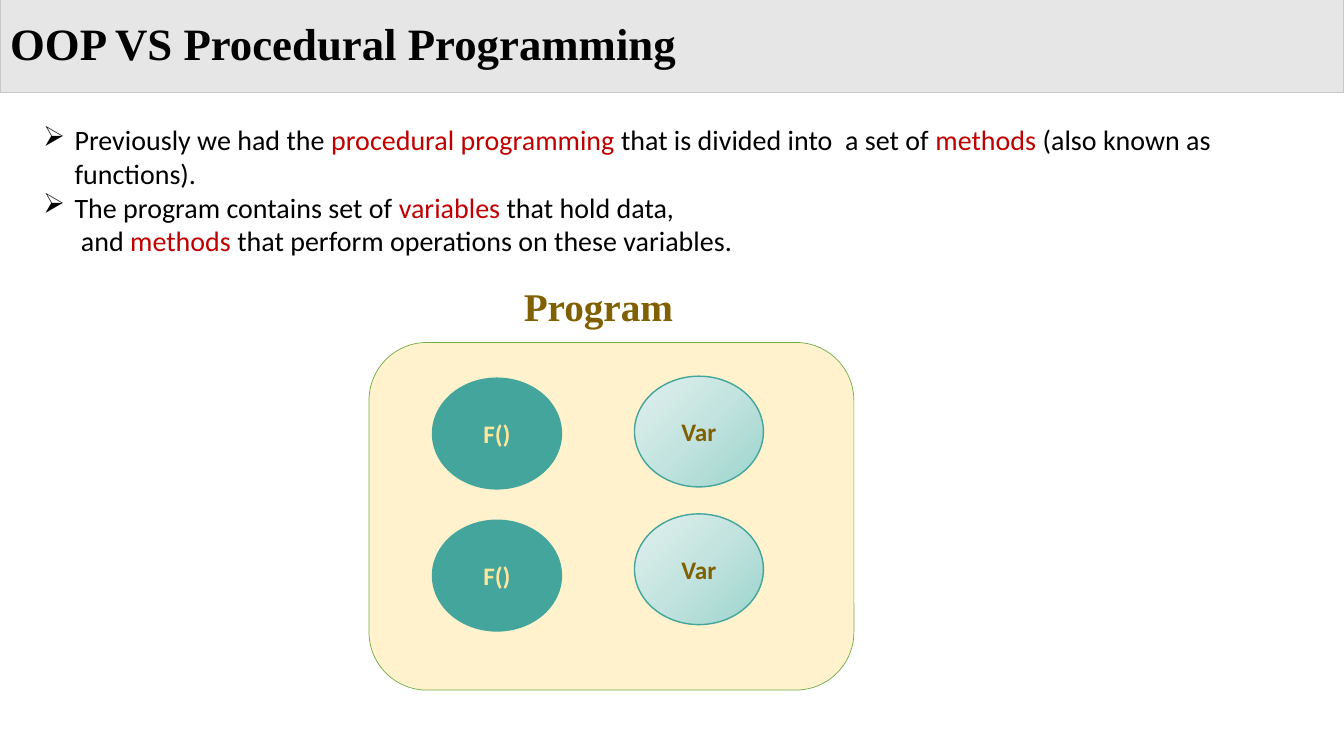
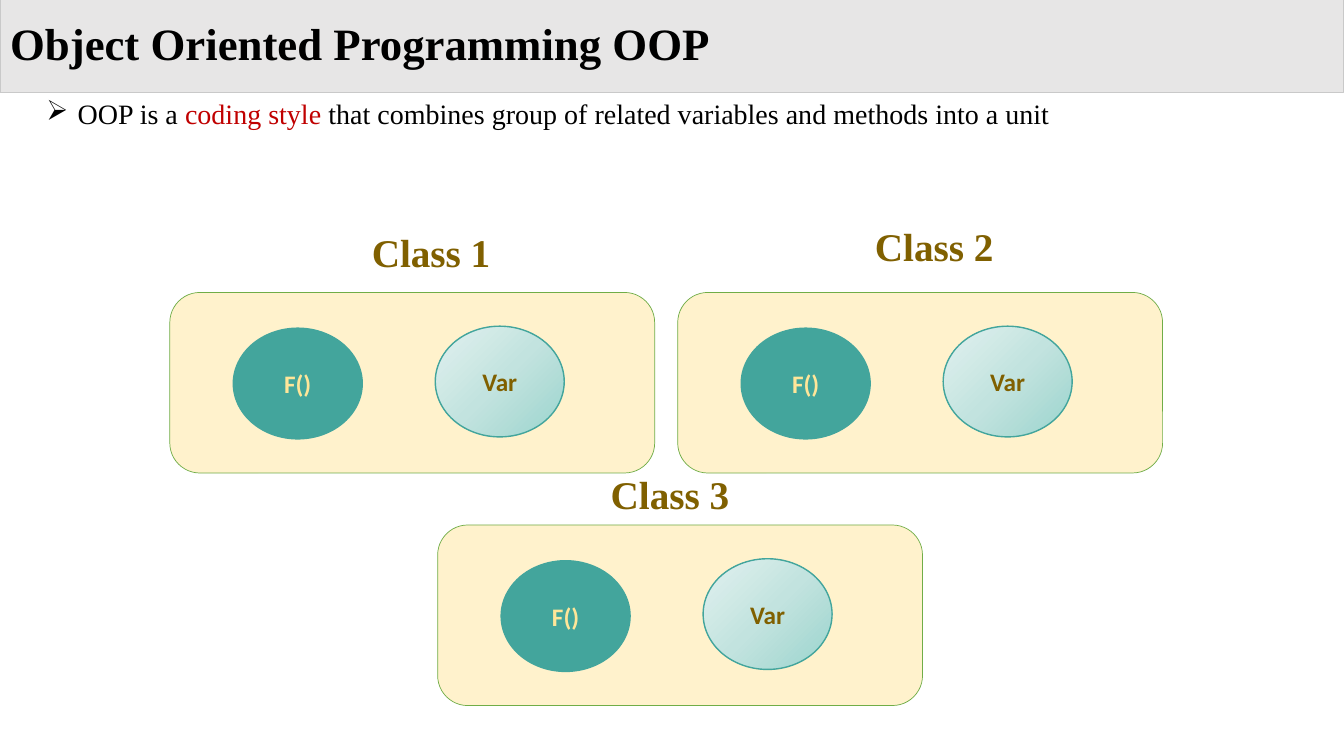
from copy import deepcopy
from dataclasses import dataclass

from pptx import Presentation
from pptx.dml.color import RGBColor
from pptx.enum.shapes import MSO_SHAPE
from pptx.enum.text import MSO_ANCHOR, MSO_AUTO_SIZE, PP_ALIGN
from pptx.oxml.ns import qn
from pptx.util import Cm, Pt

ROUNDED = MSO_SHAPE.ROUNDED_RECTANGLE
OVAL = MSO_SHAPE.OVAL
MIDDLE = MSO_ANCHOR.MIDDLE
FIT_SHAPE = MSO_AUTO_SIZE.SHAPE_TO_FIT_TEXT
NO_FIT = MSO_AUTO_SIZE.NONE
LEFT = PP_ALIGN.LEFT
CENTER = PP_ALIGN.CENTER
TITLE_ONLY = 5


@dataclass(frozen=True)
class Theme:
    serif: str = "Times New Roman"
    sans: str = "Calibri"
    ink: str = "000000"
    accent: str = "C00000"
    band: str = "E7E6E6"
    band_line: str = "C9C9C9"
    panel: str = "FFF2CC"
    panel_line: str = "70AD47"
    teal: str = "43A59C"
    function_text: str = "FFE699"
    brown: str = "806000"
    gradient: tuple = ("9BD4CD", "C2E3DF", "E2F1EF")
    title_size: int = 32
    label_size: int = 28
    body_size: int = 20
    oval_size: int = 18


THEME = Theme()
PAGE_WIDTH, PAGE_HEIGHT = 33.87, 19.05
PANEL_WIDTH = 12.22
OVAL_WIDTH, OVAL_HEIGHT = 3.25, 2.79
BULLET_INDENT = 0.79
CONTINUED_INDENT = 0.95


def color(code):
    return RGBColor.from_string(code)


def add_span(para, text, font, size, code, bold=False):
    span = para.add_run()
    span.text = text
    span.font.name = font
    span.font.size = Pt(size)
    span.font.bold = bold
    span.font.color.rgb = color(code)


def set_solid(shape, fill, line, width):
    shape.fill.solid()
    shape.fill.fore_color.rgb = color(fill)
    set_line(shape, line, width)


def set_line(shape, line, width):
    shape.line.color.rgb = color(line)
    shape.line.width = Pt(width)


def set_gradient(shape, codes, angle):
    shape.fill.gradient()
    shape.fill.gradient_angle = angle
    first = next(shape._element.spPr.iter(qn("a:gs")))
    first.addnext(deepcopy(first))
    stops = shape.fill.gradient_stops
    for index, (stop, code) in enumerate(zip(stops, codes)):
        stop.position = index / (len(codes) - 1)
        stop.color.rgb = color(code)


def add_page(deck, heading):
    page = deck.slides.add_slide(deck.slide_layouts[TITLE_ONLY])
    title = page.shapes.title
    title.left, title.top = Cm(0), Cm(-0.02)
    title.width, title.height = Cm(PAGE_WIDTH), Cm(2.34)
    set_solid(title, THEME.band, THEME.band_line, 0.75)
    frame = title.text_frame
    frame.auto_size = NO_FIT
    frame.vertical_anchor = MIDDLE
    para = frame.paragraphs[0]
    para.alignment = LEFT
    para.line_spacing = 0.9
    add_span(para, heading, THEME.serif, THEME.title_size, THEME.ink, True)
    return page


def set_indent(para, bulleted):
    props = para._p.get_or_add_pPr()
    if bulleted:
        props.set("marL", str(Cm(BULLET_INDENT)))
        props.set("indent", str(-Cm(BULLET_INDENT)))
        bullet = props.makeelement(qn("a:buChar"), {"char": "➢"})
        props.append(bullet)
    else:
        props.set("marL", str(Cm(CONTINUED_INDENT)))


def add_bullets(page, left, top, width, height, font, lines):
    box = page.shapes.add_textbox(Cm(left), Cm(top), Cm(width), Cm(height))
    frame = box.text_frame
    frame.word_wrap = True
    for index, (bulleted, spans) in enumerate(lines):
        para = frame.paragraphs[0] if index == 0 else frame.add_paragraph()
        set_indent(para, bulleted)
        for text, code in spans:
            add_span(para, text, font, THEME.body_size, code)


def add_oval(page, left, top, text, code):
    oval = page.shapes.add_shape(
        OVAL, Cm(left), Cm(top), Cm(OVAL_WIDTH), Cm(OVAL_HEIGHT))
    oval.shadow.inherit = False
    oval.text_frame.vertical_anchor = MIDDLE
    para = oval.text_frame.paragraphs[0]
    para.alignment = CENTER
    add_span(para, text, THEME.sans, THEME.oval_size, code, True)
    return oval


def add_label(page, left, top, width, text):
    box = page.shapes.add_textbox(Cm(left), Cm(top), Cm(width), Cm(1.45))
    box.text_frame.word_wrap = False
    box.text_frame.auto_size = FIT_SHAPE
    add_span(box.text_frame.paragraphs[0], text, THEME.serif,
             THEME.label_size, THEME.brown, True)


def add_panel(page, left, top, height, rows, label, label_at, label_width):
    panel = page.shapes.add_shape(
        ROUNDED, Cm(left), Cm(top), Cm(PANEL_WIDTH), Cm(height))
    panel.shadow.inherit = False
    set_solid(panel, THEME.panel, THEME.panel_line, 0.5)
    for row in range(rows):
        function = add_oval(page, left + 1.6, top + 0.9 + row * 3.58,
                            "F()", THEME.function_text)
        set_solid(function, THEME.teal, THEME.teal, 1)
        variable = add_oval(page, left + 6.69, top + 0.85 + row * 3.47,
                            "Var", THEME.brown)
        set_gradient(variable, THEME.gradient, 135)
        set_line(variable, THEME.teal, 1)
    across, above = label_at
    add_label(page, left + across, top - above, label_width, label)


def build_procedural(deck):
    page = add_page(deck, "OOP VS Procedural Programming")
    lines = [
        (True, [("Previously we had the ", THEME.ink),
                ("procedural programming ", THEME.accent),
                ("that is divided into  a set of ", THEME.ink),
                ("methods ", THEME.accent),
                ("(also known as functions).", THEME.ink)]),
        (True, [("The program contains set of ", THEME.ink),
                ("variables", THEME.accent),
                (" that hold data,", THEME.ink)]),
        (False, [("and ", THEME.ink),
                 ("methods", THEME.accent),
                 (" that perform operations on these variables.", THEME.ink)]),
    ]
    add_bullets(page, 0.84, 2.97, 32.61, 3.68, THEME.sans, lines)
    add_panel(page, 9.3, 8.63, 8.76, 2, "Program", (3.65, 1.65), 4.32)


def build_object_oriented(deck):
    page = add_page(deck, "Object Oriented Programming OOP")
    lines = [
        (True, [("OOP is a ", THEME.ink),
                ("coding style ", THEME.accent),
                ("that combines group of related variables and methods"
                 " into a unit", THEME.ink)]),
    ]
    add_bullets(page, 0.92, 2.31, 28.37, 1.88, THEME.serif, lines)
    panels = [
        (4.28, 7.37, (4.84, 1.73)),
        (17.08, 7.37, (4.72, 1.9)),
        (11.03, 13.23, (4.11, 1.5)),
    ]
    for number, (left, top, label_at) in enumerate(panels, 1):
        add_panel(page, left, top, 4.55, 1, f"Class {number}", label_at, 3.53)


def main():
    deck = Presentation()
    deck.slide_width, deck.slide_height = Cm(PAGE_WIDTH), Cm(PAGE_HEIGHT)
    build_procedural(deck)
    build_object_oriented(deck)
    deck.save("out.pptx")


if __name__ == "__main__":
    main()
